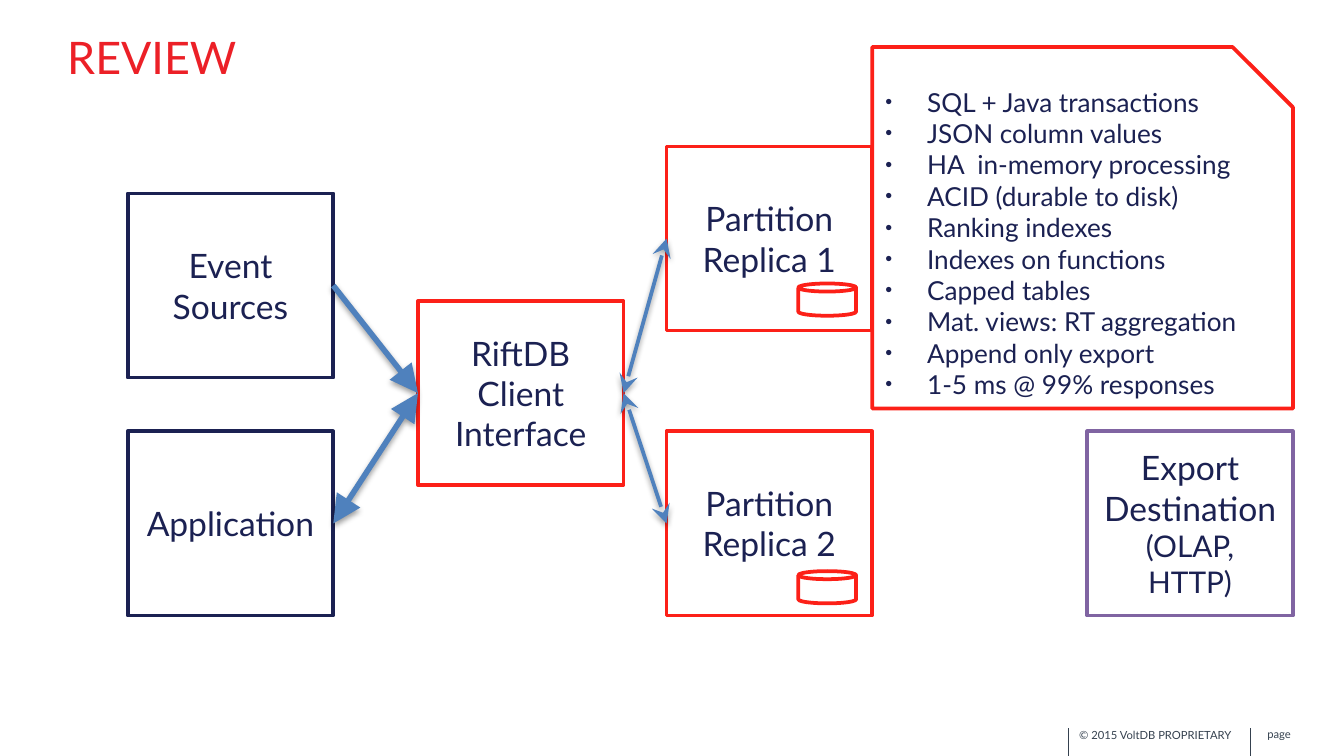
from lxml import etree
from pptx import Presentation
from pptx.dml.color import RGBColor
from pptx.enum.shapes import MSO_CONNECTOR, MSO_SHAPE
from pptx.enum.text import MSO_ANCHOR, PP_ALIGN
from pptx.oxml.ns import qn
from pptx.util import Inches, Pt

RECT, CAN, SNIP = MSO_SHAPE.RECTANGLE, MSO_SHAPE.CAN, MSO_SHAPE.SNIP_1_RECTANGLE
STRAIGHT = MSO_CONNECTOR.STRAIGHT
TOP, MIDDLE = MSO_ANCHOR.TOP, MSO_ANCHOR.MIDDLE
LEFT, CENTER = PP_ALIGN.LEFT, PP_ALIGN.CENTER
LEFT_SIDE, RIGHT_SIDE = 1, 3

FONT = "Lato"
COLORS = {"white": "FFFFFF", "navy": "1B2152", "red": "FC2018", "title": "EC2027",
          "purple": "8064A2", "arrow": "4F81BD", "footer": "35414F"}

SLIDE_W = 10
SLIDE_H = SLIDE_W * 9 / 16

# Grid of the diagram, in inches
COLUMNS = {"inputs": 0.95, "client": 3.11, "partitions": 4.96, "export": 8.09}
ROWS = {"replica": 1.09, "events": 1.44, "client": 2.24, "bottom": 3.21}
BOX_W, BOX_H = 1.53, 1.37
DISK_W, DISK_H = 0.43, 0.24

# key: column, row, outline, paragraphs of (text, size) runs
BOXES = {
    "application": ("inputs", "bottom", "navy", [[("Application", 18)]]),
    "events": ("inputs", "events", "navy", [[("Event Sources", 18)]]),
    "client": ("client", "client", "red",
               [[("RiftDB", 18)], [("Client", 18)], [("Interface", 18)]]),
    "replica 1": ("partitions", "replica", "red", [[("Partition Replica 1", 18)]]),
    "replica 2": ("partitions", "bottom", "red",
                  [[("Partition", 18)], [("Replica 2", 18)]]),
    "export": ("export", "bottom", "purple",
               [[("Export Destination ", 18), ("(OLAP, HTTP)", 16)]]),
}
# from, to, width, arrowhead, both ends
ARROWS = [
    ("events", "client", 3, "triangle", False),
    ("application", "client", 3, "triangle", True),
    ("client", "replica 1", 2, "stealth", True),
    ("client", "replica 2", 2, "stealth", True),
]
FEATURES = [
    "SQL + Java transactions", "JSON column values", "HA  in-memory processing",
    "ACID (durable to disk)", "Ranking indexes", "Indexes on functions",
    "Capped tables", "Mat. views: RT aggregation", "Append only export",
    "1-5 ms @ 99% responses",
]
DISK_TOPS = [2.11, 4.25]
# text, left, top, width, height, size, colour
LABELS = [
    ("REVIEW", 0.5, 0.22, 8.18, 0.59, 24, "title"),
    ("© 2015 VoltDB PROPRIETARY", 8.03, 5.42, 1.31, 0.14, 6, "footer"),
    ("page", 9.43, 5.41, 0.3, 0.14, 6, "footer"),
]
FOOTER_RULES = [7.95, 9.3]
FOOTER_TOP = 5.42


def rgb(name):
    return RGBColor.from_string(COLORS[name])


def write(frame, paragraphs, color, align):
    """Fill a text frame with paragraphs, each a list of (text, size) runs."""
    frame.word_wrap = True
    for i, runs in enumerate(paragraphs):
        paragraph = frame.paragraphs[0] if i == 0 else frame.add_paragraph()
        paragraph.alignment = align
        for text, size in runs:
            run = paragraph.add_run()
            run.text = text
            run.font.name, run.font.size = FONT, Pt(size)
            run.font.color.rgb = rgb(color)


def add_outlined(kind, left, top, width, height, outline):
    shape = slide.shapes.add_shape(kind, *map(Inches, (left, top, width, height)))
    shape.shadow.inherit = False
    shape.fill.solid()
    shape.fill.fore_color.rgb = rgb("white")
    shape.line.color.rgb = rgb(outline)
    shape.line.width = Pt(2)
    shape.text_frame.vertical_anchor = MIDDLE
    return shape


def add_line(start, end, color, width):
    """Draw a straight line and return it with its empty effect list."""
    line = slide.shapes.add_connector(STRAIGHT, *map(Inches, (*start, *end)))
    line.line.color.rgb = rgb(color)
    line.line.width = Pt(width)
    effects = etree.SubElement(line._element.spPr, qn("a:effectLst"))
    return line, effects


def add_shadow(effects):
    shadow = etree.SubElement(effects, qn("a:outerShdw"), blurRad="40000",
                              dist="20000", dir="5400000", rotWithShape="0")
    black = etree.SubElement(shadow, qn("a:srgbClr"), val="000000")
    etree.SubElement(black, qn("a:alpha"), val="38000")


def add_bullet(paragraph):
    properties = paragraph._p.get_or_add_pPr()
    properties.set("marL", str(Inches(0.31)))
    properties.set("indent", str(-Inches(0.31)))
    etree.SubElement(properties, qn("a:buSzPct"), val="75000")
    etree.SubElement(properties, qn("a:buFont"), typeface="Arial")
    etree.SubElement(properties, qn("a:buChar"), char="•")


prs = Presentation()
prs.slide_width, prs.slide_height = Inches(SLIDE_W), Inches(SLIDE_H)
slide = prs.slides.add_slide(prs.slide_layouts[6])

for text, left, top, width, height, size, color in LABELS:
    frame = slide.shapes.add_textbox(*map(Inches, (left, top, width, height))).text_frame
    frame.margin_left = frame.margin_right = frame.margin_top = frame.margin_bottom = 0
    frame.vertical_anchor = TOP
    write(frame, [[(text, size)]], color, LEFT)
for x in FOOTER_RULES:
    add_line((x, FOOTER_TOP), (x, SLIDE_H), "footer", 0.25)

boxes = {}
for key, (column, row, outline, paragraphs) in BOXES.items():
    boxes[key] = add_outlined(RECT, COLUMNS[column], ROWS[row], BOX_W, BOX_H, outline)
    write(boxes[key].text_frame, paragraphs, "navy", CENTER)

for source, target, width, head, both_ends in ARROWS:
    arrow, effects = add_line((0, 0), (1, 1), "arrow", width)
    arrow.begin_connect(boxes[source], RIGHT_SIDE)
    arrow.end_connect(boxes[target], LEFT_SIDE)
    outline = arrow.line._get_or_add_ln()
    for tag in ("a:headEnd", "a:tailEnd") if both_ends else ("a:tailEnd",):
        etree.SubElement(outline, qn(tag), type=head, w="lg", len="lg")
    add_shadow(effects)

features_left = COLUMNS["partitions"] + BOX_W
features_right = COLUMNS["export"] + BOX_W
features = add_outlined(SNIP, features_left, 0.35, features_right - features_left,
                        2.69, "red")
write(features.text_frame, [[(feature, 14)] for feature in FEATURES], "navy", LEFT)
for paragraph in features.text_frame.paragraphs:
    add_bullet(paragraph)

for top in DISK_TOPS:
    add_outlined(CAN, 5.94, top, DISK_W, DISK_H, "red")

prs.save("out.pptx")
